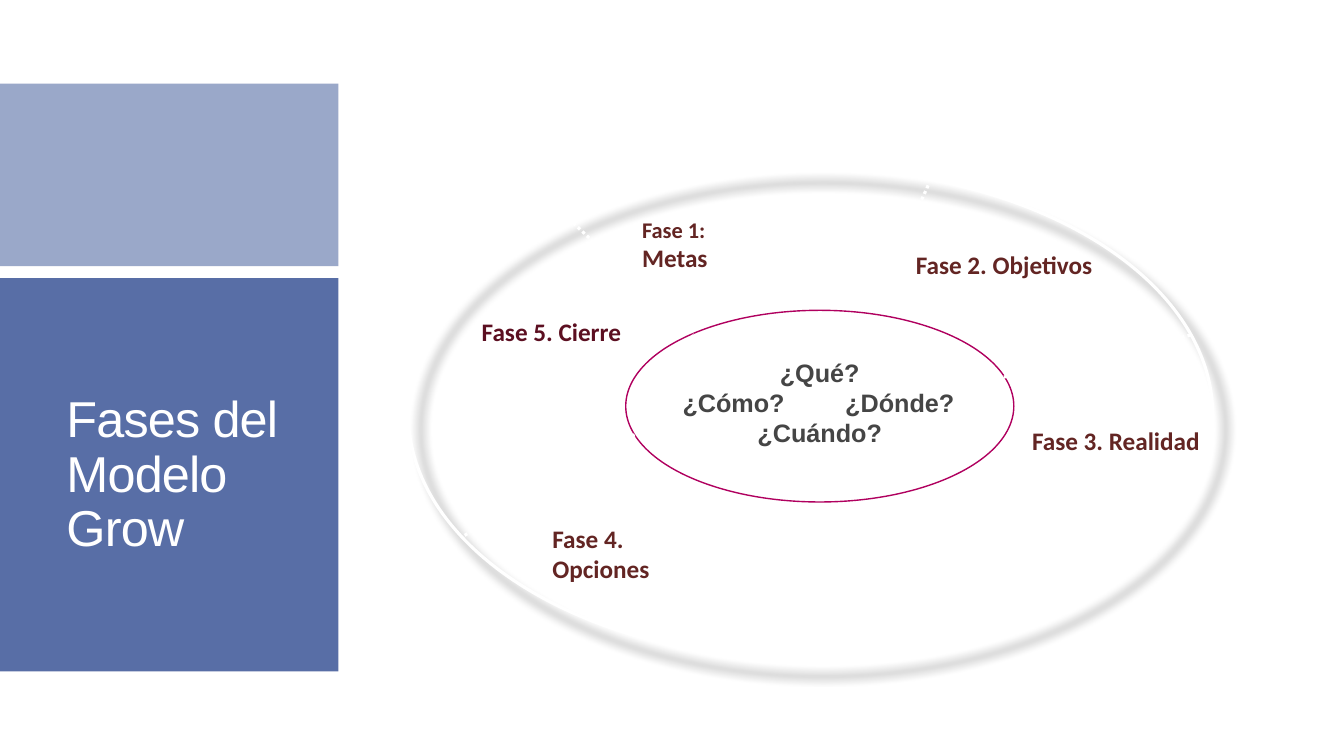
from lxml import etree
from pptx import Presentation
from pptx.dml.color import RGBColor
from pptx.enum import dml, shapes, text
from pptx.oxml import ns
from pptx.util import Cm, Pt

BLUE, WHITE, GREY = "586EA6", "FFFFFF", "454545"
BROWN, WINE, MAGENTA = "632523", "5C0F21", "B0005F"

# Label: runs (text, size), box in cm, colour
PHASES = [
    ([("Fase 1: ", 16), ("Metas", 18)], (15.93, 5.31, 3.71, 1.7), BROWN),
    ([("Fase 2. Objetivos", 18)], (22.83, 6.15, 5.05, 1.02), BROWN),
    ([("Fase 3. Realidad", 18)], (25.76, 10.59, 4.8, 1.02), BROWN),
    ([("Fase 4. Opciones", 18)], (13.67, 13.06, 4.37, 1.8), BROWN),
    ([("Fase 5. Cierre", 18)], (11.89, 7.85, 4.27, 1.02), WINE),
]
# Phase dividers: start and end points in cm
DIVIDERS = [
    (14.33, 5.51, 17.45, 8.43),
    (11.71, 13.49, 16, 10.95),
    (22.2, 12.62, 23.39, 16.41),
    (25.3, 9.5, 30.07, 8.43),
    (23.39, 4.67, 21.97, 7.82),
]


def rgb(value):
    return RGBColor.from_string(value)


def cm(values):
    return [Cm(v) for v in values]


def child(parent, tag, **attrs):
    return etree.SubElement(parent, ns.qn(tag), attrs)


def style(font, size, color, name, bold=False):
    font.size, font.name, font.bold = Pt(size), name, bold
    font.color.rgb = rgb(color)


def add_panel(s, box, color, alpha=None):
    sp = s.shapes.add_shape(shapes.MSO_SHAPE.RECTANGLE, *cm(box))
    sp.shadow.inherit = False
    sp.fill.solid()
    sp.fill.fore_color.rgb = rgb(color)
    sp.line.fill.background()
    if alpha:
        clr = sp._element.spPr.find(".//" + ns.qn("a:srgbClr"))
        child(clr, "a:alpha", val=str(alpha * 1000))


def add_ring(s, box, color, width):
    sp = s.shapes.add_shape(shapes.MSO_SHAPE.OVAL, *cm(box))
    sp.shadow.inherit = False
    sp.fill.background()
    sp.line.color.rgb = rgb(color)
    sp.line.width = Pt(width)
    return sp


def add_soft_shadow(sp):
    effects = sp._element.spPr.find(ns.qn("a:effectLst"))
    shadow = child(effects, "a:outerShdw", blurRad=str(Pt(7)), dist=str(Pt(14)),
                   dir=str(50 * 60000), algn="ctr", rotWithShape="0")
    clr = child(shadow, "a:srgbClr", val="000000")
    child(clr, "a:alpha", val="48000")


def add_questions(sp):
    tf = sp.text_frame
    tf.word_wrap = True
    tf.vertical_anchor = text.MSO_ANCHOR.MIDDLE
    tf.margin_left = tf.margin_right = tf.margin_top = 0
    tf.margin_bottom = Cm(0.2)
    tf.text = "¿Qué?\n¿Cómo?\t¿Dónde?\n¿Cuándo?"
    for p in tf.paragraphs:
        p.alignment = text.PP_ALIGN.CENTER
        if "\t" in p.text:
            p.alignment = text.PP_ALIGN.LEFT
            tabs = child(p._p.get_or_add_pPr(), "a:tabLst")
            child(tabs, "a:tab", pos=str(Cm(4.1)), algn="l")
        for r in p.runs:
            style(r.font, 18, GREY, "Arial", True)


def add_divider(s, points):
    line = s.shapes.add_connector(shapes.MSO_CONNECTOR.STRAIGHT, *cm(points))
    line.line.color.rgb = rgb(WHITE)
    line.line.width = Pt(2.25)
    line.line.dash_style = dml.MSO_LINE.ROUND_DOT
    child(line._element.spPr, "a:effectLst")


def add_label(s, runs, box, color):
    tf = s.shapes.add_textbox(*cm(box)).text_frame
    tf.word_wrap = True
    for words, size in runs:
        r = tf.paragraphs[0].add_run()
        r.text = words
        style(r.font, size, color, "Calibri", True)


def set_title(s, words, box):
    sp = s.shapes.title
    sp.left, sp.top, sp.width, sp.height = cm(box)
    s.shapes._spTree.append(sp._element)  # in front of the panels
    tf = sp.text_frame
    tf.text = words
    tf.word_wrap = True
    tf.auto_size = text.MSO_AUTO_SIZE.NONE
    tf.vertical_anchor = text.MSO_ANCHOR.MIDDLE
    p = tf.paragraphs[0]
    p.alignment = text.PP_ALIGN.LEFT
    p.line_spacing = 0.9
    r = p.runs[0]
    style(r.font, 36, WHITE, "Arial")
    r._r.get_or_add_rPr().set("spc", "-60")


def main():
    prs = Presentation()
    prs.slide_width, prs.slide_height = Cm(33.87), Cm(19.05)
    s = prs.slides.add_slide(prs.slide_layouts[5])

    # Side panels and title
    add_panel(s, (0, 7.01, 8.53, 9.91), BLUE)
    add_panel(s, (0, 2.11, 8.53, 4.6), BLUE, 60)
    set_title(s, "Fases del Modelo Grow", (1.42, 7.34, 6.76, 9.3))

    # Outer ring and the questions at its centre
    add_soft_shadow(add_ring(s, (10.29, 4.24, 20.27, 12.4), WHITE, 2.25))
    add_questions(add_ring(s, (15.77, 7.82, 9.78, 4.83), MAGENTA, 1))

    # Phases
    for points in DIVIDERS:
        add_divider(s, points)
    for runs, box, color in PHASES:
        add_label(s, runs, box, color)

    prs.save("out.pptx")


if __name__ == "__main__":
    main()
